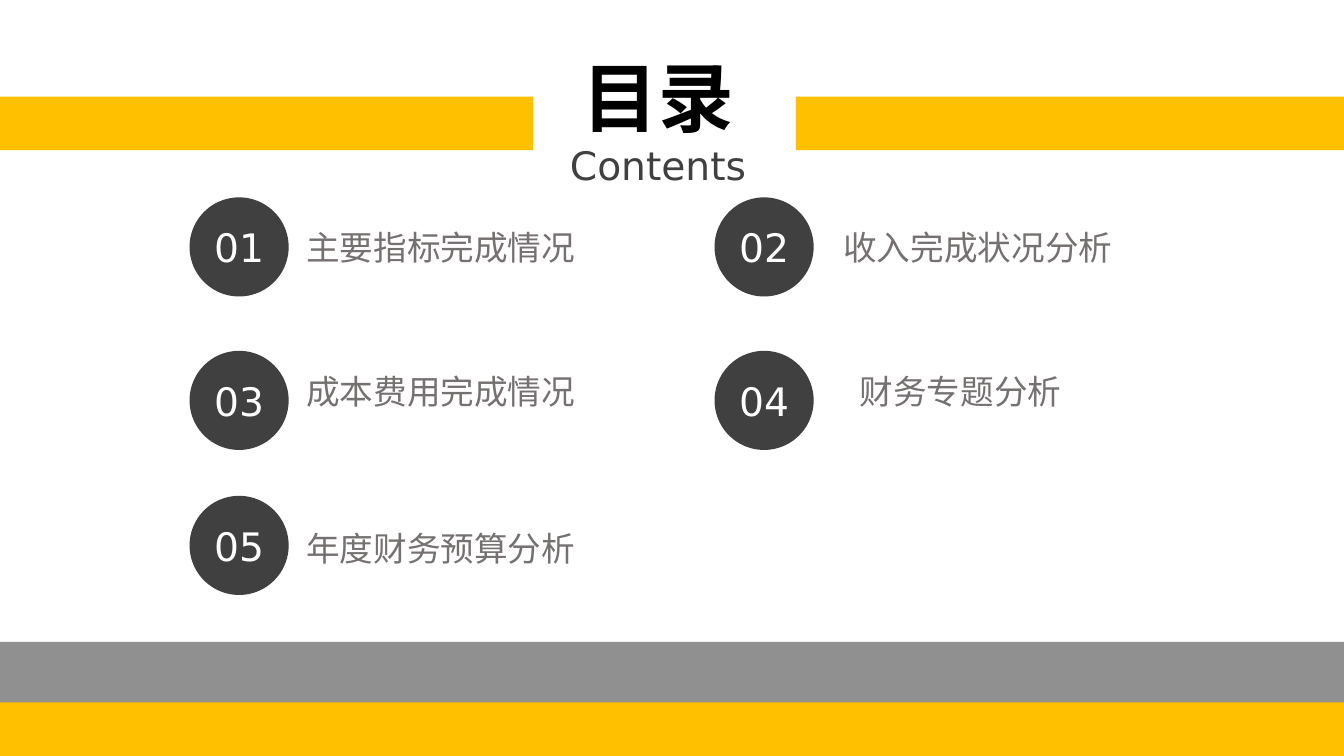
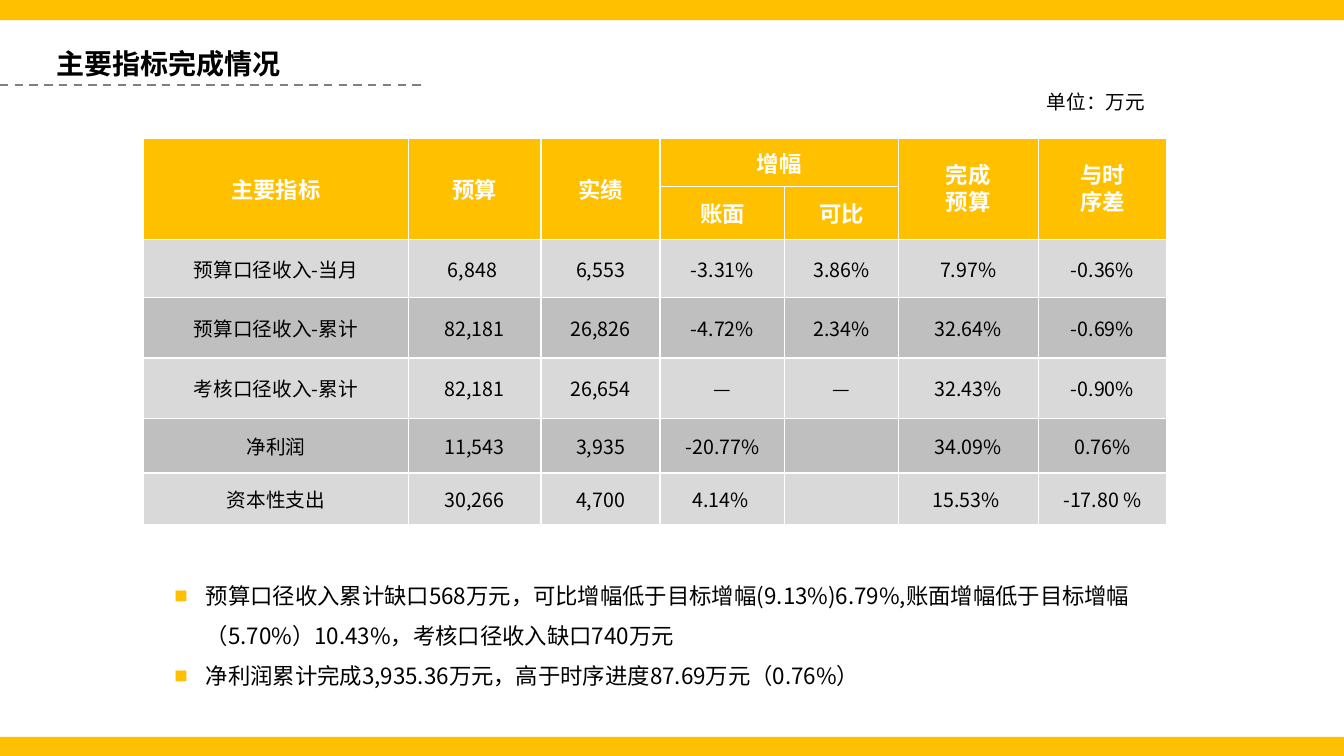
from lxml.etree import SubElement
from pptx import Presentation
from pptx.dml.color import RGBColor
from pptx.enum.dml import MSO_LINE
from pptx.enum.shapes import MSO_CONNECTOR, MSO_SHAPE
from pptx.enum.text import MSO_ANCHOR, MSO_AUTO_SIZE, PP_ALIGN
from pptx.oxml.ns import qn
from pptx.util import Pt

GOLD = RGBColor(0xFF, 0xC0, 0x00)
DARK = RGBColor(0x40, 0x40, 0x40)
MID = RGBColor(0x80, 0x80, 0x80)
LABEL = RGBColor(0x76, 0x71, 0x71)
LIGHT = RGBColor(0xD9, 0xD9, 0xD9)
SILVER = RGBColor(0xBF, 0xBF, 0xBF)
WHITE = RGBColor(0xFF, 0xFF, 0xFF)
BLACK = RGBColor(0x00, 0x00, 0x00)
SANS = "DejaVu Sans"
CJK = "Noto Sans CJK SC"
WIDTH, HEIGHT = 960, 540
BAND = 38.2


def add_bullet(p, color):
    pPr = p._p.get_or_add_pPr()
    pPr.set("marL", str(Pt(22.5)))
    pPr.set("indent", str(-Pt(22.5)))
    buClr = SubElement(pPr, qn("a:buClr"))
    SubElement(buClr, qn("a:srgbClr"), val=str(color))
    SubElement(pPr, qn("a:buSzPct"), val="60000")
    SubElement(pPr, qn("a:buFont"), typeface=CJK)
    SubElement(pPr, qn("a:buChar"), char="■")


def write(tf, text, size=16, color=BLACK, font=CJK, bold=False,
          align=PP_ALIGN.LEFT, spacing=None, bullet=None, append=False):
    for i, line in enumerate(text.split("\n")):
        p = tf.add_paragraph() if append or i else tf.paragraphs[0]
        if bullet is not None:
            add_bullet(p, bullet)
        p.alignment = align
        p.line_spacing = spacing
        r = p.add_run()
        r.text = line
        r.font.size, r.font.bold, r.font.name = Pt(size), bold, font
        r.font.color.rgb = color
        SubElement(r._r.get_or_add_rPr(), qn("a:ea"), typeface=CJK)


class Deck:
    def __init__(self):
        self.prs = Presentation()
        self.prs.slide_width, self.prs.slide_height = Pt(WIDTH), Pt(HEIGHT)
        self.s = None

    def slide(self):
        self.s = self.prs.slides.add_slide(self.prs.slide_layouts[5])

    def title(self, x, y, w, h, text, **fmt):
        sp = self.s.shapes.title
        sp.left, sp.top, sp.width, sp.height = Pt(x), Pt(y), Pt(w), Pt(h)
        tf = sp.text_frame
        tf.auto_size = MSO_AUTO_SIZE.NONE
        tf.vertical_anchor = MSO_ANCHOR.TOP
        write(tf, text, font=SANS, bold=True, **fmt)
        return tf

    def shape(self, kind, x, y, w, h, color, alpha=None):
        sp = self.s.shapes.add_shape(kind, Pt(x), Pt(y), Pt(w), Pt(h))
        sp.shadow.inherit = False
        sp.fill.solid()
        sp.fill.fore_color.rgb = color
        sp.line.fill.background()
        if alpha:
            clr = sp.element.spPr.find(qn("a:solidFill")).find(qn("a:srgbClr"))
            SubElement(clr, qn("a:alpha"), val=str(alpha * 1000))
        return sp

    def band(self, x, y, w, h, color=GOLD, alpha=None):
        self.shape(MSO_SHAPE.RECTANGLE, x, y, w, h, color, alpha)

    def badge(self, x, y, number):
        sp = self.shape(MSO_SHAPE.OVAL, x, y, 70.8, 70.8, DARK)
        tf = sp.text_frame
        tf.margin_left = tf.margin_right = 0
        tf.vertical_anchor = MSO_ANCHOR.MIDDLE
        write(tf, number, size=28, color=WHITE, font=SANS,
              align=PP_ALIGN.CENTER)

    def text(self, x, y, w, h, text, wrap=True, **fmt):
        sp = self.s.shapes.add_textbox(Pt(x), Pt(y), Pt(w), Pt(h))
        sp.text_frame.word_wrap = wrap
        write(sp.text_frame, text, **fmt)

    def dashed_line(self, x1, y1, x2, y2):
        c = self.s.shapes.add_connector(MSO_CONNECTOR.STRAIGHT, Pt(x1), Pt(y1),
                                        Pt(x2), Pt(y2))
        c.line.color.rgb = MID
        c.line.width = Pt(1.5)
        c.line.dash_style = MSO_LINE.DASH
        SubElement(c.element.spPr, qn("a:effectLst"))

    def cell(self, cell, text, fill, **fmt):
        tcPr = cell._tc.get_or_add_tcPr()
        for side in ("a:lnL", "a:lnR", "a:lnT", "a:lnB"):
            ln = SubElement(tcPr, qn(side), w=str(Pt(1)))
            SubElement(SubElement(ln, qn("a:solidFill")), qn("a:srgbClr"),
                       val=str(WHITE))
        cell.fill.solid()
        cell.fill.fore_color.rgb = fill
        cell.vertical_anchor = MSO_ANCHOR.MIDDLE
        cell.margin_left = cell.margin_right = 0
        cell.margin_top = cell.margin_bottom = 0
        if text:
            write(cell.text_frame, text, align=PP_ALIGN.CENTER,
                  spacing=0.82 if "\n" in text else None, **fmt)

    def table(self, x, y, widths, heights, rows, merges, header_rows):
        tbl = self.s.shapes.add_table(len(heights), len(widths), Pt(x), Pt(y),
                                      Pt(sum(widths)), Pt(sum(heights))).table
        for col, w in zip(tbl.columns, widths):
            col.width = Pt(w)
        for row, h in zip(tbl.rows, heights):
            row.height = Pt(h)
        for i, values in enumerate(rows):
            header = i < header_rows
            stripe = (LIGHT, SILVER)[(i - header_rows) % 2]
            fmt = dict(size=16, color=WHITE, bold=True) if header else dict(size=14)
            for j, value in enumerate(values):
                self.cell(tbl.cell(i, j), value, GOLD if header else stripe, **fmt)
        for first, last in merges:
            tbl.cell(*first).merge(tbl.cell(*last))


def contents(d):
    d.slide()
    d.band(0, 458.6, WIDTH, HEIGHT - 458.6, DARK, alpha=58)
    d.band(0, HEIGHT - BAND, WIDTH, BAND)
    d.band(0, 69.1, 380.6, BAND)
    d.band(568.6, 69.1, WIDTH - 568.6, BAND)
    tf = d.title(370, 32.4, 200, 106.6, "目录", size=54, align=PP_ALIGN.CENTER)
    write(tf, "Contents", size=28, color=DARK, font=SANS,
          align=PP_ALIGN.CENTER, append=True)
    badge_x = (135.4, 510.4)
    badge_y = (141, 250.6, 354.2)
    label_y = (158.4, 261.4, 373.7)
    items = [("主要指标完成情况", 211.7), ("收入完成状况分析", 595.4),
             ("成本费用完成情况", 211.7), ("财务专题分析", 607),
             ("年度财务预算分析", 211.7)]
    for i, (label, x) in enumerate(items):
        row, col = divmod(i, 2)
        d.badge(badge_x[col], badge_y[row], f"{i + 1:02}")
        d.text(x, label_y[row], 244, 36, label, size=24, color=LABEL)


def indicators(d):
    d.slide()
    d.band(0, 0, WIDTH, 14.4)
    d.band(0, 526.3, WIDTH, HEIGHT - 526.3)
    d.title(33.1, 29.5, 219.6, 31.7, "主要指标完成情况", size=20)
    d.dashed_line(0, 60.8, 304.6, 60.8)
    rows = [
        ("主要指标", "预算", "实绩", "增幅", "", "完成\n预算", "与时\n序差"),
        ("", "", "", "账面", "可比", "", ""),
        ("预算口径收入-当月", "6,848 ", "6,553", "-3.31%", "3.86%", "7.97%", "-0.36%"),
        ("预算口径收入-累计", " 82,181 ", "26,826", "-4.72%", "2.34%", "32.64%", "-0.69%"),
        ("考核口径收入-累计", " 82,181 ", "26,654", "—", "—", "32.43%", "-0.90%"),
        ("净利润", "11,543", "3,935", "-20.77%", "", "34.09%", "0.76%"),
        ("资本性支出", "30,266", "4,700", "4.14% ", "", "15.53% ", "-17.80 %"),
    ]
    merges = [((0, j), (1, j)) for j in (0, 1, 2, 5, 6)] + [((0, 3), (0, 4))]
    d.table(102.5, 98.8, (189.2, 94.8, 85, 89.2, 81, 100, 91.8),
            (34.5, 38, 41.3, 43.2, 43.2, 38.9, 37), rows, merges, header_rows=2)
    d.text(117.4, 402.5, 743, 94.3,
           "预算口径收入累计缺口568万元，可比增幅低于目标增幅(9.13%)6.79%,"
           "账面增幅低于目标增幅（5.70%）10.43%，考核口径收入缺口740万元\n"
           "净利润累计完成3,935.36万元，高于时序进度87.69万元（0.76%）",
           spacing=1.5, bullet=GOLD)
    d.text(725, 60.8, 100, 24.5, "单位：万元", size=14, align=PP_ALIGN.RIGHT)


def main():
    d = Deck()
    contents(d)
    indicators(d)
    d.prs.save("out.pptx")


if __name__ == "__main__":
    main()
